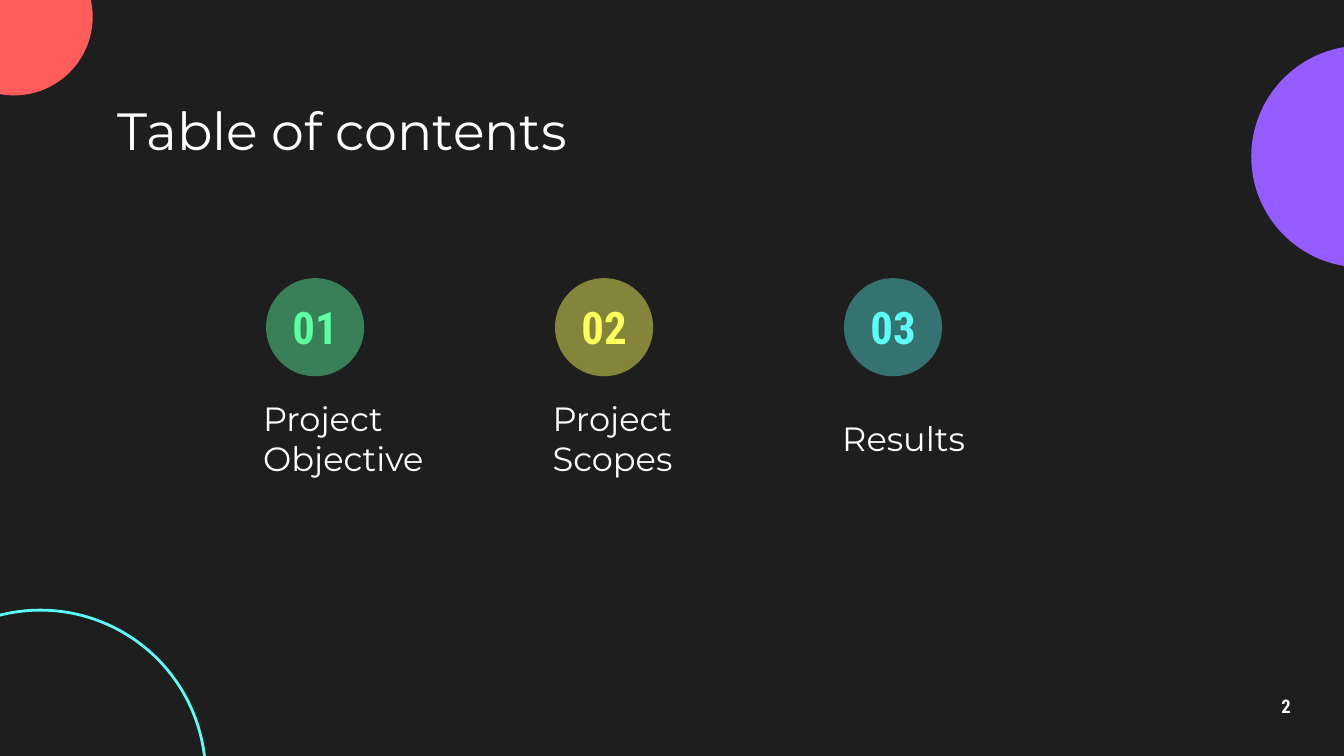
from dataclasses import dataclass

from lxml import etree
from pptx import Presentation
from pptx.dml.color import RGBColor
from pptx.enum import shapes, text
from pptx.oxml import ns
from pptx.util import Inches, Pt


@dataclass(frozen=True)
class Theme:
    background: str = "1E1E1E"
    white: str = "FFFFFF"
    purple: str = "955CFF"
    red: str = "FF5C5C"
    cyan: str = "5CFFF8"
    yellow: str = "FDFF5C"
    green: str = "5CFFA6"
    body_font: str = "Montserrat"
    number_font: str = "Roboto Condensed"
    title_size: int = 28
    number_size: int = 24
    label_size: int = 18
    page_size: int = 10


theme = Theme()
LEFT, CENTER = text.PP_ALIGN.LEFT, text.PP_ALIGN.CENTER

deck = Presentation()
deck.slide_width = Inches(10)
deck.slide_height = Inches(10) * 9 // 16
slide = deck.slides.add_slide(deck.slide_layouts[6])
slide.background.fill.solid()
slide.background.fill.fore_color.rgb = RGBColor.from_string(theme.background)


def add_circle(left, top, size, fill=None, opacity=100, outline=None):
    """Add a circle; opacity is a percentage of the fill."""
    circle = slide.shapes.add_shape(
        shapes.MSO_SHAPE.OVAL, Inches(left), Inches(top), Inches(size), Inches(size))
    circle.shadow.inherit = False
    if fill:
        circle.fill.solid()
        circle.fill.fore_color.rgb = RGBColor.from_string(fill)
        if opacity < 100:
            color = circle.fill._xPr.find(".//" + ns.qn("a:srgbClr"))
            etree.SubElement(color, ns.qn("a:alpha"), val=str(opacity * 1000))
    else:
        circle.fill.background()
    if outline:
        circle.line.color.rgb = RGBColor.from_string(outline)
        circle.line.width = Pt(1.5)
    else:
        circle.line.fill.background()


def add_text(words, left, top, width, height, size, font=theme.body_font,
             color=theme.white, bold=False, align=LEFT, spacing=None):
    box = slide.shapes.add_textbox(
        Inches(left), Inches(top), Inches(width), Inches(height))
    frame = box.text_frame
    frame.word_wrap = True
    frame.vertical_anchor = text.MSO_ANCHOR.MIDDLE
    frame.margin_left = frame.margin_right = Inches(0.1)
    frame.margin_top = frame.margin_bottom = Inches(0.1)
    paragraph = frame.paragraphs[0]
    paragraph.alignment = align
    paragraph.line_spacing = spacing
    run = paragraph.add_run()
    run.text = words
    run.font.name = font
    run.font.size = Pt(size)
    run.font.bold = bold
    run.font.color.rgb = RGBColor.from_string(color)


# Corner decoration
add_circle(9.31, 0.34, 1.65, fill=theme.purple)
add_circle(-0.48, -0.46, 1.17, fill=theme.red)
add_circle(-0.93, 4.54, 2.46, outline=theme.cyan)

add_text("Table of contents", 0.78, 0.71, 8.44, 0.51, theme.title_size)

# Numbered sections, evenly spaced
sections = [
    ("Project Objective", theme.green, 44),
    ("Project Scopes", theme.yellow, 46),
    ("Results", theme.cyan, 38),
]
badge_left, label_left, step, badge = 1.98, 1.86, 2.15, 0.73
for index, (label, accent, opacity) in enumerate(sections):
    offset = index * step
    left = badge_left + offset
    add_circle(left, 2.07, badge, fill=accent, opacity=opacity)
    add_text(f"{index + 1:02}", left, 2.18, badge, 0.5, theme.number_size,
             theme.number_font, accent, bold=True, align=CENTER)
    add_text(label, label_left + offset * 1.002, 2.96, 1.97, 0.6, theme.label_size)

# Page number
add_text("2", 9.27, 5.1, 0.6, 0.34, theme.page_size, theme.number_font,
         bold=True, align=CENTER, spacing=0.8)

deck.save("out.pptx")
